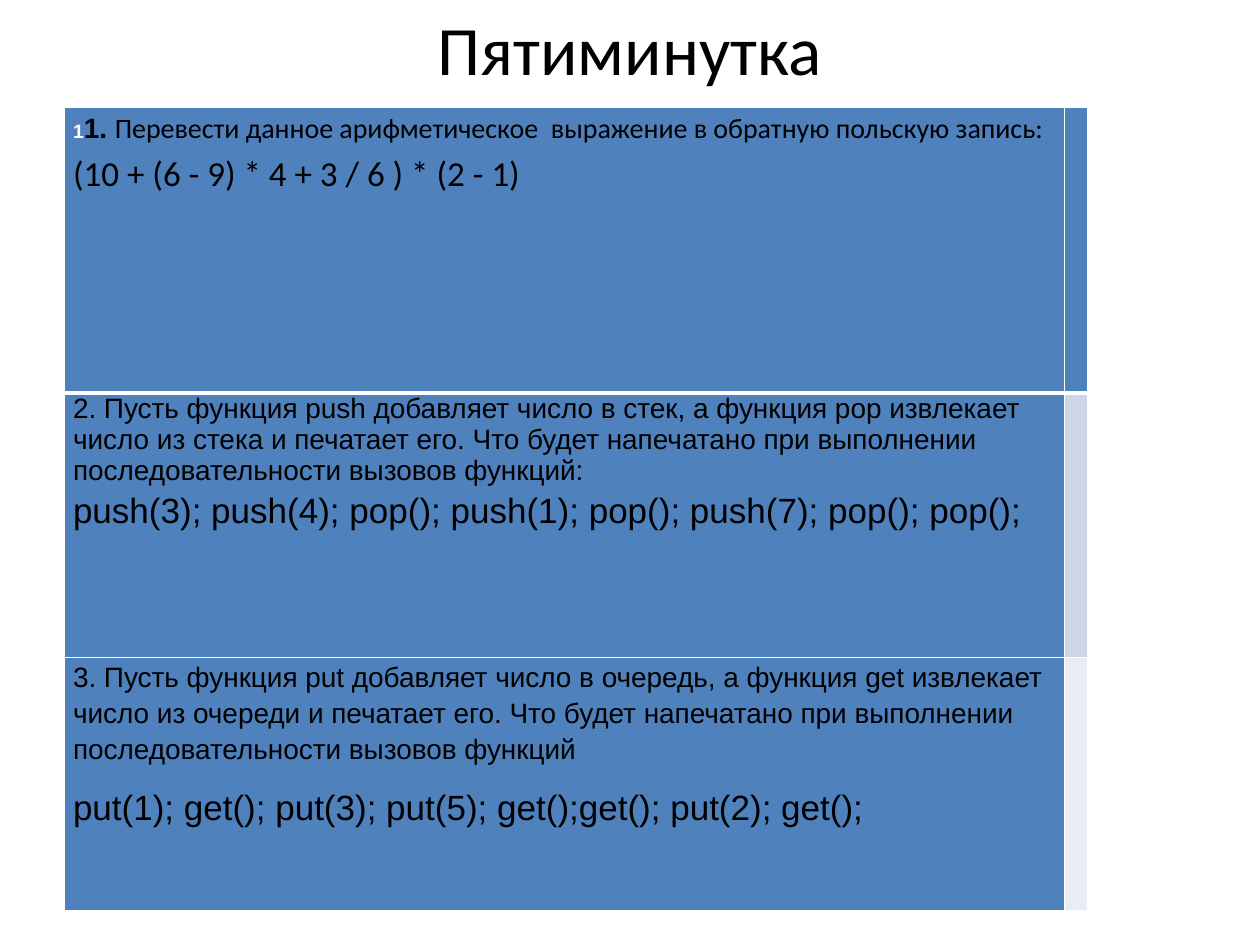
from dataclasses import dataclass

from lxml import etree
from pptx import Presentation
from pptx.dml.color import RGBColor
from pptx.enum.text import MSO_ANCHOR, PP_ALIGN
from pptx.oxml.ns import qn
from pptx.util import Inches, Pt

CENTER = PP_ALIGN.CENTER
MIDDLE = MSO_ANCHOR.MIDDLE
BLANK_LAYOUT = 6


@dataclass(frozen=True)
class Theme:
    heading_font: str = "Calibri"
    body_font: str = "Arial"
    black: str = "000000"
    white: str = "FFFFFF"
    blue: str = "4F81BD"
    side_fills: tuple = ("4F81BD", "CFD7E7", "E8ECF4")
    title_size: float = 39.6
    task_size: float = 16
    code_size: float = 20
    mark_size: float = 11
    thin_line: float = 1
    thick_line: float = 3


THEME = Theme()
COLUMN_WIDTHS = (7.94, 0.18)
ROW_HEIGHTS = (2.27, 2.1, 2.01)
EXPRESSION_TASK = (
    ("1", THEME.mark_size, THEME.body_font, THEME.white, True),
    ("1. ", THEME.task_size, THEME.body_font, THEME.black, True),
    ("Перевести данное арифметическое  выражение в обратную польскую запись:  ",
     THEME.task_size, THEME.heading_font, THEME.black, False),
    ("(10 + (6 - 9) * 4 + 3 / 6 ) * (2 - 1)",
     THEME.code_size, THEME.heading_font, THEME.black, False),
)
STACK_TASK = (
    ("2. Пусть функция push добавляет число в стек, а функция pop извлекает число "
     "из стека и печатает его. Что будет напечатано при выполнении "
     "последовательности вызовов функций:", THEME.task_size, 1.0, 0),
    ("push(3); push(4); pop(); push(1); pop(); push(7); pop(); pop();",
     THEME.code_size, 1.15, 0),
)
QUEUE_TASK = (
    ("3. Пусть функция put добавляет число в очередь, а функция get извлекает число "
     "из очереди и печатает его. Что будет напечатано при выполнении "
     "последовательности вызовов функций ", THEME.task_size, 1.15, 0),
    ("put(1); get(); put(3); put(5); get();get(); put(2); get();",
     THEME.code_size, 1.15, 10),
)


def set_font(font, size, name, color=THEME.black, bold=False):
    font.size = Pt(size)
    font.name = name
    font.bold = bold
    font.color.rgb = RGBColor.from_string(color)


def add_title(page, text):
    box = page.shapes.add_textbox(Inches(0.5), Inches(0.13), Inches(9), Inches(0.5))
    frame = box.text_frame
    frame.word_wrap = True
    frame.vertical_anchor = MIDDLE
    para = frame.paragraphs[0]
    para.text = text
    para.alignment = CENTER
    set_font(para.font, THEME.title_size, THEME.heading_font)


def set_borders(cell, top, bottom):
    properties = cell._tc.get_or_add_tcPr()
    widths = {"a:lnL": THEME.thin_line, "a:lnR": THEME.thin_line,
              "a:lnT": top, "a:lnB": bottom}
    for tag, width in widths.items():
        line = etree.SubElement(properties, qn(tag), w=str(Pt(width)))
        fill = etree.SubElement(line, qn("a:solidFill"))
        etree.SubElement(fill, qn("a:srgbClr"), val=THEME.white)


def style_cell(cell, row, color):
    top = THEME.thick_line if row == 1 else THEME.thin_line
    bottom = THEME.thick_line if row == 0 else THEME.thin_line
    set_borders(cell, top, bottom)
    cell.fill.solid()
    cell.fill.fore_color.rgb = RGBColor.from_string(color)
    cell.margin_left = cell.margin_right = Inches(0.07)
    cell.margin_top = cell.margin_bottom = 0


def write_expression(cell, pieces):
    para = cell.text_frame.paragraphs[0]
    para.line_spacing = 1.15
    for text, size, name, color, bold in pieces:
        span = para.add_run()
        span.text = text
        set_font(span.font, size, name, color, bold)


def write_task(cell, lines):
    frame = cell.text_frame
    for index, (text, size, spacing, before) in enumerate(lines):
        para = frame.add_paragraph() if index else frame.paragraphs[0]
        para.text = text
        para.line_spacing = spacing
        para.space_before = Pt(before)
        set_font(para.font, size, THEME.body_font)


def add_task_table(page):
    table = page.shapes.add_table(
        len(ROW_HEIGHTS), len(COLUMN_WIDTHS), Inches(0.51), Inches(0.85),
        Inches(sum(COLUMN_WIDTHS)), Inches(sum(ROW_HEIGHTS))).table
    for column, width in zip(table.columns, COLUMN_WIDTHS):
        column.width = Inches(width)
    for index, height in enumerate(ROW_HEIGHTS):
        table.rows[index].height = Inches(height)
        style_cell(table.cell(index, 0), index, THEME.blue)
        style_cell(table.cell(index, 1), index, THEME.side_fills[index])
    write_expression(table.cell(0, 0), EXPRESSION_TASK)
    write_task(table.cell(1, 0), STACK_TASK)
    write_task(table.cell(2, 0), QUEUE_TASK)


def main():
    deck = Presentation()
    deck.slide_width = Inches(10)
    deck.slide_height = Inches(7.5)
    page = deck.slides.add_slide(deck.slide_layouts[BLANK_LAYOUT])
    add_title(page, "Пятиминутка")
    add_task_table(page)
    deck.save("out.pptx")


main()
